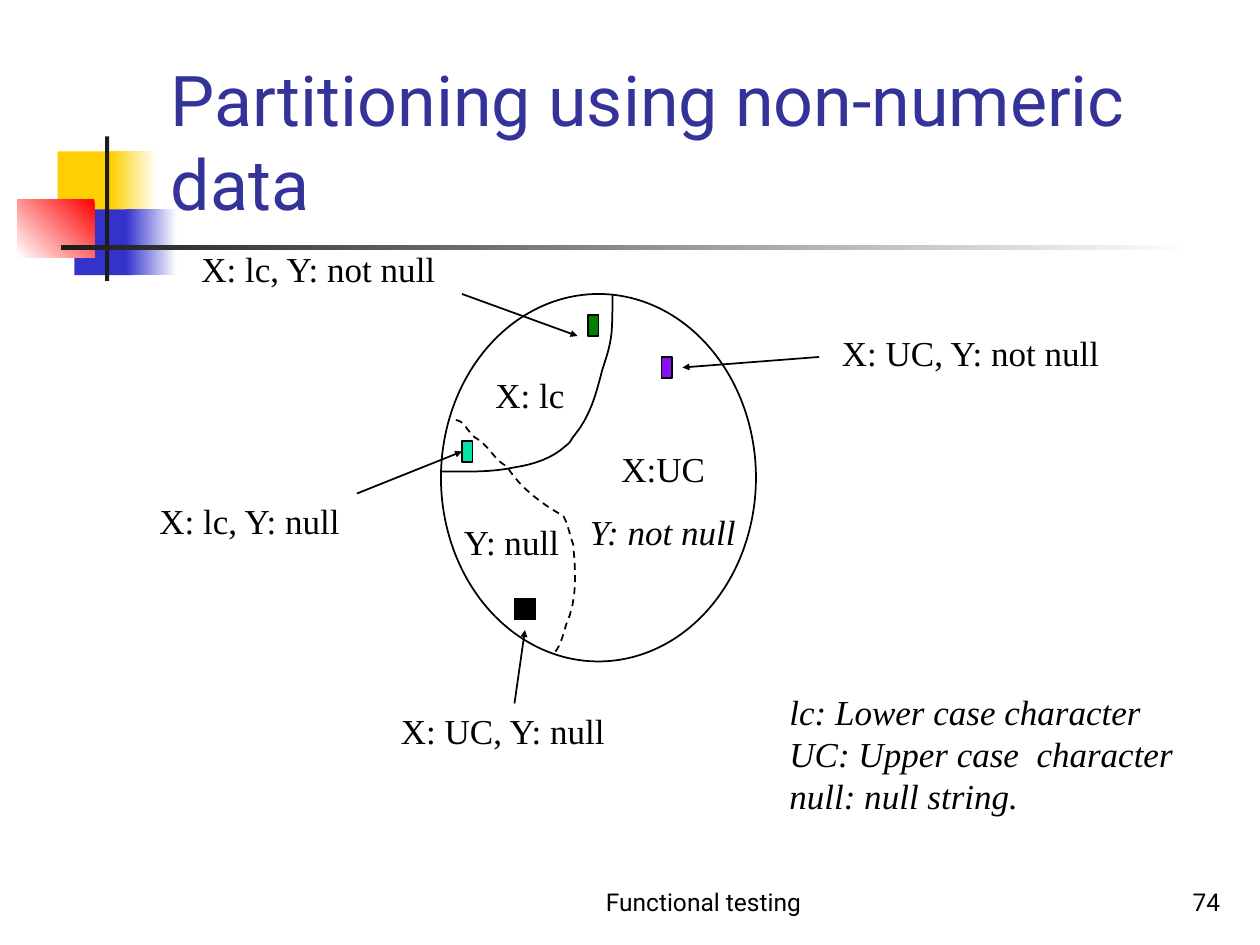
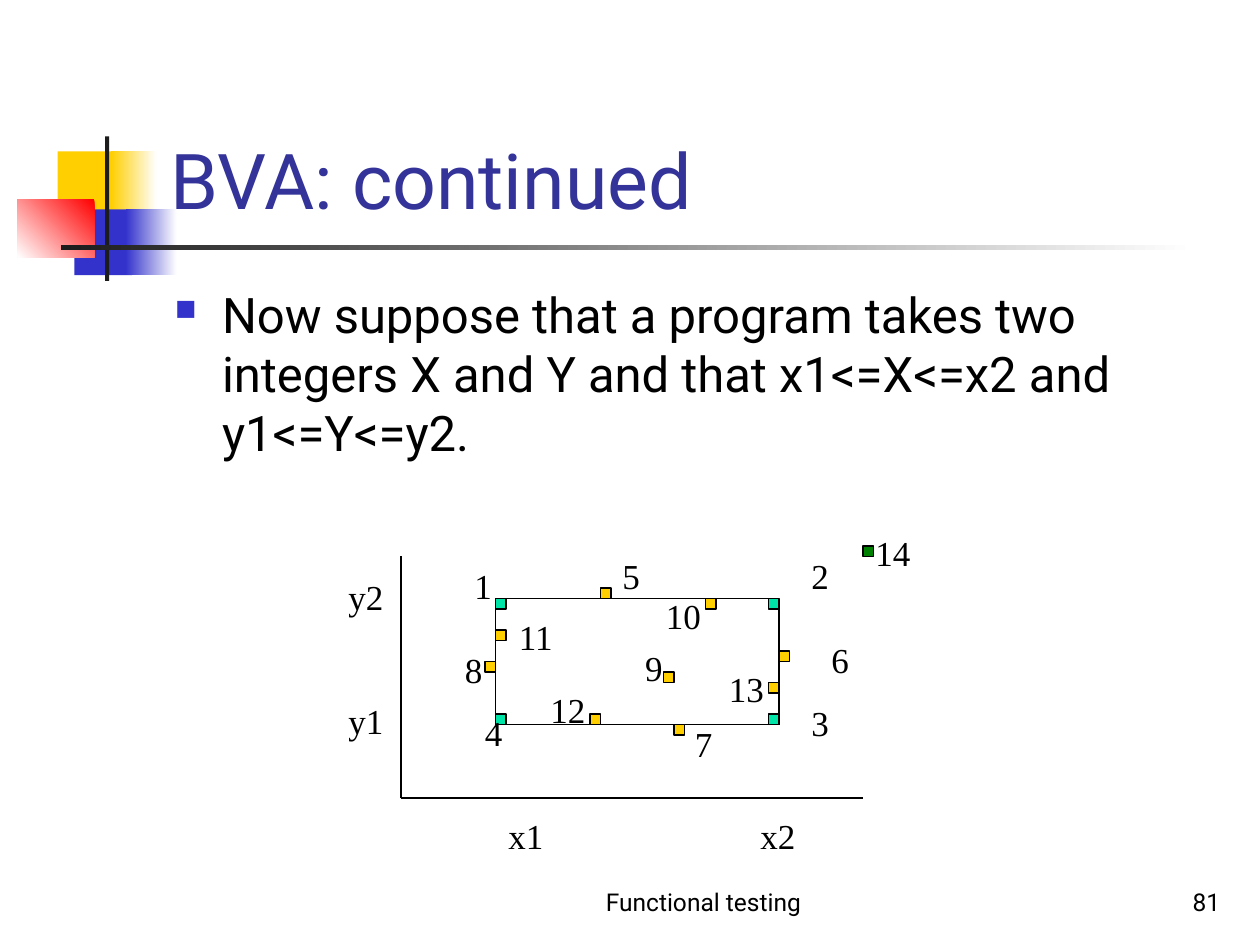
from lxml.etree import SubElement
from pptx import Presentation
from pptx.dml.color import RGBColor
from pptx.enum.dml import MSO_LINE
from pptx.enum.shapes import MSO_CONNECTOR, MSO_SHAPE
from pptx.enum.text import MSO_ANCHOR, PP_ALIGN
from pptx.oxml.ns import qn
from pptx.util import Pt

COLOURS = {
    "white": "FFFFFF", "black": "000000", "ink": "1C1C1C", "title": "333399",
    "yellow": "FFCF01", "blue": "3333CC", "red": "FF0000",
    "mint": "00E4A8", "green": "008000", "violet": "890FF7",
}
RGB = {name: RGBColor.from_string(value) for name, value in COLOURS.items()}
SANS, SERIF = "Roboto", "Times New Roman"


def add_text(page, text, left, top, width, height=31.5, size=20, font=SERIF, colour="black",
             italic=False, align=PP_ALIGN.LEFT, anchor=MSO_ANCHOR.TOP, wrap=False, bullet=None):
    box = page.shapes.add_textbox(Pt(left), Pt(top), Pt(width), Pt(height))
    frame = box.text_frame
    frame.word_wrap = wrap
    frame.vertical_anchor = anchor
    for index, line in enumerate(text.split("\n")):
        para = frame.add_paragraph() if index else frame.paragraphs[0]
        para.alignment = align
        if bullet:
            properties = para._p.get_or_add_pPr()
            properties.set("marL", str(Pt(27)))
            properties.set("indent", str(-Pt(27)))
            tint = SubElement(properties, qn("a:buClr"))
            SubElement(tint, qn("a:srgbClr"), val=COLOURS["blue"])
            SubElement(properties, qn("a:buSzPct"), val="60000")
            SubElement(properties, qn("a:buChar"), char=bullet)
        span = para.add_run()
        span.text = line
        span.font.size = Pt(size)
        span.font.name = font
        span.font.italic = italic
        span.font.color.rgb = RGB[colour]


def add_block(page, left, top, width, height, fill=None, fade_angle=None, outlined=False,
              kind=MSO_SHAPE.RECTANGLE):
    block = page.shapes.add_shape(kind, Pt(left), Pt(top), Pt(width), Pt(height))
    block.shadow.inherit = False
    if fill is None:
        block.fill.background()
    elif fade_angle is None:
        block.fill.solid()
        block.fill.fore_color.rgb = RGB[fill]
    else:
        block.fill.gradient()
        block.fill.gradient_angle = fade_angle
        for stop, name in zip(block.fill.gradient_stops, (fill, "white")):
            stop.color.rgb = RGB[name]
    if outlined:
        block.line.color.rgb = RGB["black"]
        block.line.width = Pt(1)
    else:
        block.line.fill.background()


BAND = [
    (33, 86.5, 34.5, 37.5, "yellow", None),
    (63.5, 86.5, 26, 37.5, "yellow", 0),
    (42.5, 119.7, 33, 37.5, "blue", None),
    (72, 119.7, 29, 37.5, "blue", 0),
    (10, 114, 44, 33, "red", 225),
    (60, 78, 2.4, 82.5, "ink", None),
    (34.8, 140.2, 648, 2.4, "ink", 0),
]

partition_labels = [
    ("X: lc", 276, 210, 56), ("X:UC", 348, 252, 70), ("Y: null", 258, 294, 73),
    ("X: lc, Y: null", 84, 282, 122), ("X: lc, Y: not null", 108, 138, 152),
    ("X: UC, Y: null", 222, 402, 135), ("X: UC, Y: not null", 474, 186, 166),
]
partition_markers = [
    (264, 252, 6, 12, "mint"), (336, 180, 6, 12, "green"),
    (294, 342, 12, 12, "black"), (378, 204, 6, 12, "violet"),
]
partition_arrows = [
    (204, 282, 264, 258), (264, 168, 330, 192), (294, 402, 300, 360), (468, 204, 390, 210),
]

X1, X2, Y2, Y1 = 283.2, 445.2, 342, 414
AXIS_X, AXIS_Y, AXIS_END = 229.2, 456, 493.2
DOT = 6

points = [
    ("1", 264, 319), ("2", 456.5, 313.5), ("3", 456.5, 397.5), ("4", 270, 403),
    ("5", 348.5, 313.5), ("6", 468, 361.5), ("7", 390, 409.5), ("8", 258.5, 367),
    ("9", 361.5, 366), ("10", 373.5, 336), ("11", 289.5, 348), ("12", 307.5, 390),
    ("13", 409.5, 378), ("14", 493.2, 300),
    ("x1", 283.5, 462), ("x2", 427.5, 462), ("y2", 192, 325.5), ("y1", 192, 396),
]
boundary_labels = [(name, left, top, 16 + 10 * len(name)) for name, left, top in points]
corners = [(left, top, "mint") for left in (X1, X2 - DOT) for top in (Y2, Y1 - DOT)]
edges = [(left, top, "yellow") for left, top in (
    (343.2, Y2 - DOT), (385.2, Y1), (X1 - DOT, 378), (X2, 372), (379.2, 384),
    (403.2, Y2), (X1, 360), (337.2, Y1 - DOT), (X2 - DOT, 390))]
outside = [(AXIS_END, 312, "green")]
boundary_markers = [(left, top, DOT, DOT, fill) for left, top, fill in corners + edges + outside]
boundary_lines = [
    (AXIS_X, 318, AXIS_X, AXIS_Y), (AXIS_X, AXIS_Y, AXIS_END, AXIS_Y),
    (X1, Y2, X2, Y2), (X1, Y1, X2, Y1), (X1, Y2, X1, Y1), (X2, Y2, X2, Y1),
]

SLIDES = [
    ("Partitioning using non-numeric data", 40, "74",
     partition_labels, partition_markers, partition_arrows, True),
    ("BVA: continued", 44, "81",
     boundary_labels, boundary_markers, boundary_lines, False),
]

deck = Presentation()
deck.slide_width, deck.slide_height = Pt(720), Pt(540)
pages = []

for title, title_size, number, labels, markers, lines, arrows in SLIDES:
    page = deck.slides.add_slide(deck.slide_layouts[6])
    pages.append(page)
    for left, top, width, height, fill, fade_angle in BAND:
        add_block(page, left, top, width, height, fill, fade_angle)
    add_text(page, title, 90.5, 17, 613, 115, size=title_size, font=SANS, colour="title",
             anchor=MSO_ANCHOR.BOTTOM, wrap=True)
    for start_x, start_y, end_x, end_y in lines:
        connector = page.shapes.add_connector(
            MSO_CONNECTOR.STRAIGHT, Pt(start_x), Pt(start_y), Pt(end_x), Pt(end_y))
        connector.line.color.rgb = RGB["black"]
        connector.line.width = Pt(1)
        if arrows:
            SubElement(connector.line._get_or_add_ln(), qn("a:tailEnd"),
                       type="triangle", w="sm", len="sm")
        SubElement(connector._element.spPr, qn("a:effectLst"))
    for left, top, width, height, fill in markers:
        add_block(page, left, top, width, height, fill, outlined=True)
    for text, left, top, width in labels:
        add_text(page, text, left, top, width)
    for text, left, width, align in (("Functional testing", 288, 228, PP_ALIGN.CENTER),
                                     (number, 554.4, 150, PP_ALIGN.RIGHT)):
        add_text(page, text, left, 491.5, width, 36, size=14, font=SANS, align=align,
                 anchor=MSO_ANCHOR.BOTTOM, wrap=True)

partition_page, boundary_page = pages

add_block(partition_page, 252, 168, 180, 210, outlined=True, kind=MSO_SHAPE.OVAL)
add_text(partition_page, "Y: not null", 330, 288, 101, italic=True)
add_text(partition_page, "lc: Lower case character\nUC: Upper case  character\nnull: null string.",
         444, 391, 248, 79, italic=True, wrap=True)

case_divider = [
    (350, 168), (350, 176), (350, 183), (349.5, 190), (348.5, 199), (346.5, 204), (344, 212),
    (340.5, 226), (337, 238), (328.5, 248.5), (325.5, 252), (327, 252), (323, 255),
    (315.5, 262), (304.5, 265.5), (294.5, 267), (281, 270), (266.5, 269.5), (252, 269.5),
]
null_divider = [
    (260.5, 240), (265, 241), (265.5, 243.5), (268.5, 247), (273, 252), (270, 248.5),
    (275, 252.5), (281, 257.5), (283, 263), (289.5, 266.5), (298, 279.5), (309, 287.5),
    (322, 295), (324.5, 299.5), (325.5, 305.5), (327.5, 311), (329, 327), (330, 342.5),
    (323.5, 357), (322, 362), (320.5, 368.5), (317, 373),
]
STEPS = 8
for controls, dash in ((case_divider, None), (null_divider, MSO_LINE.DASH)):
    vertices = []
    for first in range(0, len(controls) - 1, 3):
        for step in range(1, STEPS + 1):
            t = step / STEPS
            weights = ((1 - t) ** 3, 3 * t * (1 - t) ** 2, 3 * t ** 2 * (1 - t), t ** 3)
            vertices.append(tuple(
                Pt(sum(weight * control[axis]
                       for weight, control in zip(weights, controls[first:first + 4])))
                for axis in (0, 1)))
    start_x, start_y = controls[0]
    builder = partition_page.shapes.build_freeform(Pt(start_x), Pt(start_y))
    builder.add_line_segments(vertices, close=False)
    divider = builder.convert_to_shape()
    divider.shadow.inherit = False
    divider.fill.background()
    divider.line.color.rgb = RGB["black"]
    divider.line.width = Pt(1)
    divider.line.dash_style = dash

add_text(boundary_page,
         "Now suppose that a program takes two integers X and Y and that x1<=X<=x2 and y1<=Y<=y2.",
         92.8, 159, 612, 129, size=28, font=SANS, wrap=True, bullet="■")

deck.save("out.pptx")
